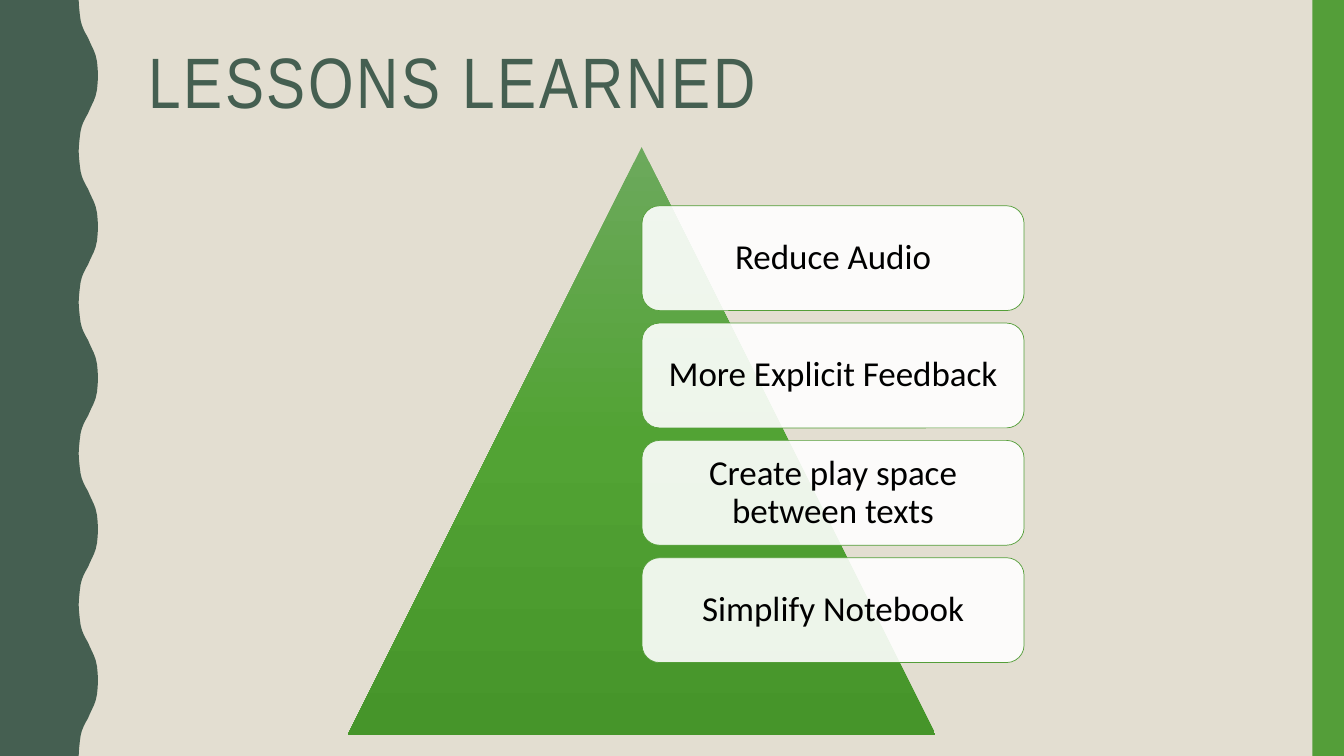
from copy import deepcopy

from pptx import Presentation
from pptx.dml.color import RGBColor
from pptx.enum.shapes import MSO_SHAPE
from pptx.enum.text import MSO_ANCHOR, MSO_AUTO_SIZE, PP_ALIGN
from pptx.oxml.ns import qn
from pptx.util import Pt
from lxml import etree

RECT = MSO_SHAPE.RECTANGLE
ROUNDED = MSO_SHAPE.ROUNDED_RECTANGLE
TRIANGLE = MSO_SHAPE.ISOSCELES_TRIANGLE
TOP, MIDDLE = MSO_ANCHOR.TOP, MSO_ANCHOR.MIDDLE
LEFT, CENTER = PP_ALIGN.LEFT, PP_ALIGN.CENTER
NO_AUTOFIT = MSO_AUTO_SIZE.NONE

WIDTH, HEIGHT = 960, 540
COLORS = {
    "background": "E3DED1",
    "dark": "455F51",
    "green": "549E39",
    "card": "FFFFFF",
    "text": "000000",
    "gradient_top": "6CA95C",
    "gradient_middle": "52A334",
    "gradient_bottom": "46952A",
}
LESSONS = [
    "Reduce Audio",
    "More Explicit Feedback",
    "Create play space between texts",
    "Simplify Notebook",
]

# Half a wave, from trough to crest
WAVE_X = [56.2, 56.5, 57, 57.6, 58.5, 59.7, 61.2, 62.9,
          64.2, 65.6, 67, 68.3, 69.3, 69.8, 70]
WAVE_Y = [0, 5, 10, 14.5, 18, 21, 24, 27, 30, 33, 36, 39.5, 44, 49, 54]
HALF_WAVES = 10

CARD_X, CARD_Y, CARD_W, CARD_H = 458.6, 147, 272.9, 74.9
CARD_PITCH = 83.8


def rgb(name):
    return RGBColor.from_string(COLORS[name])


class SlideBuilder:
    """Holds the fonts and the slide being drawn; lengths are in points."""

    title_font, body_font = "Arial Narrow", "Calibri"

    def __init__(self, s):
        self.s = s
        s.background.fill.solid()
        s.background.fill.fore_color.rgb = rgb("background")

    def title(self, text, x, y, w, h):
        sp = self.s.shapes.title
        sp.left, sp.top, sp.width, sp.height = Pt(x), Pt(y), Pt(w), Pt(h)
        self.set_text(sp.text_frame, text, self.title_font, 51, "dark", LEFT, TOP)
        r = sp.text_frame.paragraphs[0].runs[0]
        r._r.get_or_add_rPr().set("spc", "200")

    def set_text(self, tf, text, font, size, color, align, anchor):
        tf.text = text
        tf.word_wrap = True
        tf.auto_size = NO_AUTOFIT
        tf.vertical_anchor = anchor
        p = tf.paragraphs[0]
        p.alignment = align
        p.line_spacing = 0.9
        r = p.runs[0]
        r.font.name, r.font.size = font, Pt(size)
        r.font.color.rgb = rgb(color)

    def shape(self, kind, x, y, w, h, color):
        sp = self.s.shapes.add_shape(kind, Pt(x), Pt(y), Pt(w), Pt(h))
        return self.paint(sp, color)

    def paint(self, sp, color):
        sp.shadow.inherit = False
        sp.fill.solid()
        sp.fill.fore_color.rgb = rgb(color)
        sp.line.fill.background()
        return sp

    def wavy_edge(self):
        points = []
        for i in range(HALF_WAVES):
            xs = WAVE_X[::-1] if i % 2 else WAVE_X
            points += [(Pt(x), Pt(y + i * WAVE_Y[-1])) for x, y in zip(xs, WAVE_Y)]
        outline = self.s.shapes.build_freeform(0, 0)
        outline.add_line_segments(points + [(0, Pt(HEIGHT))], close=True)
        self.paint(outline.convert_to_shape(), "dark")

    def pyramid(self, x, y, size):
        sp = self.shape(TRIANGLE, x, y, size, size, "green")
        sp.fill.gradient()
        sp.fill.gradient_angle = 270
        stop_list = sp._element.spPr.find(qn("a:gradFill")).find(qn("a:gsLst"))
        stop_list.insert(1, deepcopy(stop_list[0]))
        names = ["gradient_top", "gradient_middle", "gradient_bottom"]
        for i, (stop, name) in enumerate(zip(sp.fill.gradient_stops, names)):
            stop.position = i / 2
            stop.color.rgb = rgb(name)

    def card(self, text, x, y, w, h):
        sp = self.shape(ROUNDED, x, y, w, h, "card")
        color = sp._element.spPr.find(qn("a:solidFill"))[0]
        etree.SubElement(color, qn("a:alpha"), val="90000")
        sp.line.color.rgb = rgb("green")
        sp.line.width = Pt(0.5)
        tf = sp.text_frame
        tf.margin_left = tf.margin_right = Pt(7.2)
        tf.margin_top = tf.margin_bottom = Pt(7.2)
        self.set_text(tf, text, self.body_font, 25, "text", CENTER, MIDDLE)


def main():
    prs = Presentation()
    prs.slide_width, prs.slide_height = Pt(WIDTH), Pt(HEIGHT)
    slide = SlideBuilder(prs.slides.add_slide(prs.slide_layouts[5]))

    slide.wavy_edge()
    slide.shape(RECT, 937.5, 0, 22.5, HEIGHT, "green")
    slide.title("LESSONS LEARNED", 98.6, 30.2, 801.4, 74.9)
    slide.pyramid(248.4, 105.1, 419.8)
    for i, lesson in enumerate(LESSONS):
        slide.card(lesson, CARD_X, CARD_Y + i * CARD_PITCH, CARD_W, CARD_H)

    prs.save("out.pptx")


if __name__ == "__main__":
    main()
